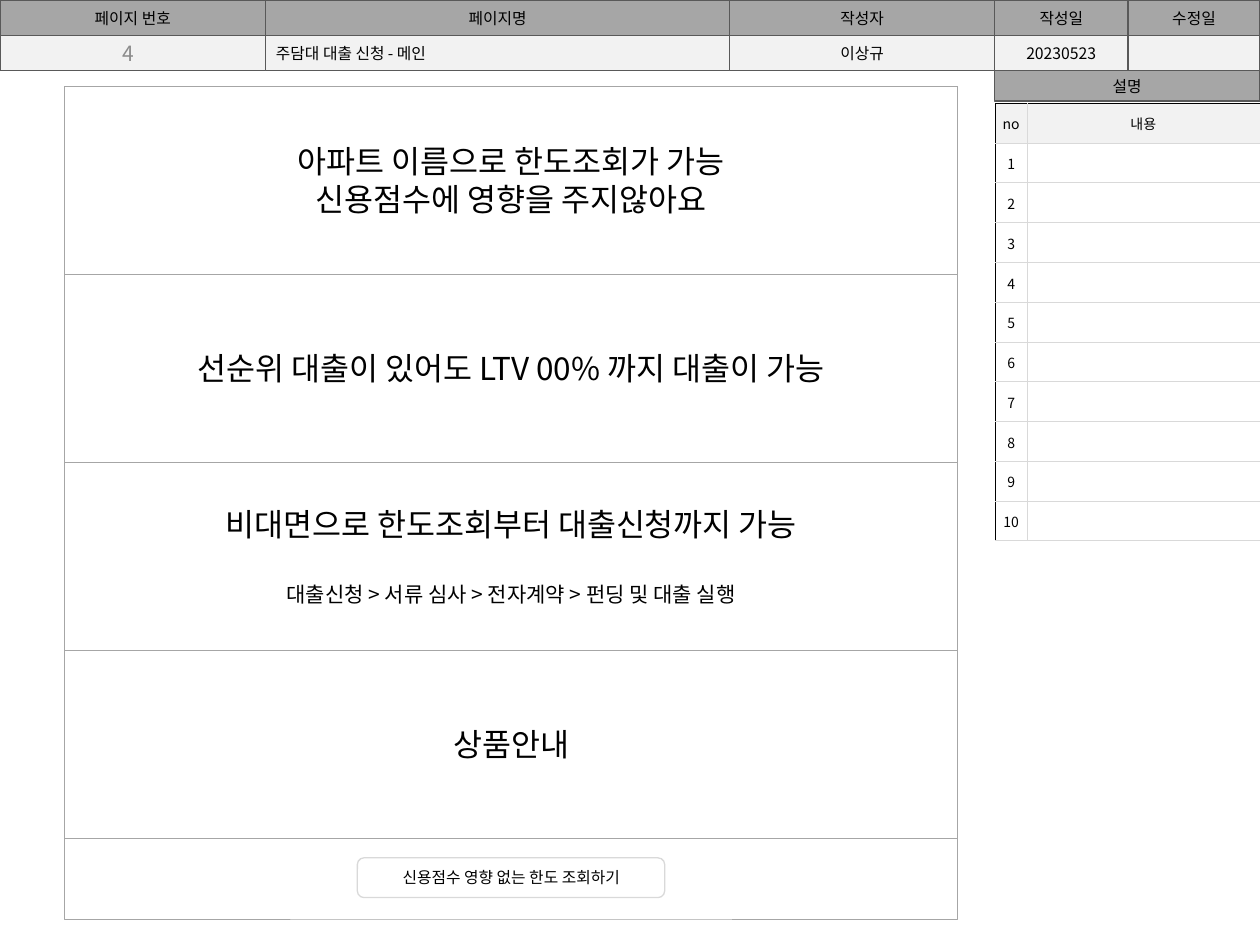
from pptx import Presentation
from pptx.dml.color import RGBColor
from pptx.enum.shapes import MSO_SHAPE as Preset
from pptx.enum.text import MSO_ANCHOR as Anchor, MSO_AUTO_SIZE as AutoSize, PP_ALIGN as Align
from pptx.oxml.ns import qn
from pptx.util import Pt
from lxml.etree import SubElement

FONT = "Noto Sans CJK KR"
BLACK = RGBColor(0x00, 0x00, 0x00)
DARK = RGBColor(0x59, 0x59, 0x59)
NUMBER_GREY = RGBColor(0x8C, 0x8C, 0x8C)
HEADING_GREY = RGBColor(0xA6, 0xA6, 0xA6)
RULE_GREY = RGBColor(0xD9, 0xD9, 0xD9)
PALE = RGBColor(0xF2, 0xF2, 0xF2)

BAND = 20.2
META_COLUMNS = [
    ("페이지 번호", None, 151.7),
    ("페이지명", None, 265.2),
    ("작성자", "이상규", 151.4),
    ("작성일", "20230523", 76.3),
    ("수정일", None, 75.4),
]
PANEL_LEFT, PANEL_TOP, PANEL_WIDTH, PANEL_HEIGHT = 36.9, 49.2, 510.3, 107.4
PANELS = [
    [("아파트 이름으로 한도조회가 가능", 18, 0), ("신용점수에 영향을 주지않아요", 18, 0)],
    [("선순위 대출이 있어도 LTV 00% 까지 대출이 가능", 18, 0)],
    [("비대면으로 한도조회부터 대출신청까지 가능", 18, 0),
     ("대출신청 > 서류 심사 > 전자계약 > 펀딩 및 대출 실행", 12, 22)],
    [("상품안내", 18, 0)],
]


def write(paragraph, text, size, color=BLACK, align=Align.CENTER):
    """Add one formatted run to a paragraph."""
    paragraph.alignment = align
    run = paragraph.add_run()
    run.text = text
    run.font.size = Pt(size)
    run.font.name = FONT
    run.font.color.rgb = color
    SubElement(run.font._element, qn("a:ea"), typeface=FONT)


def add_box(shapes, bounds, fill, line, weight, text=None, preset=Preset.RECTANGLE):
    """Draw an outlined box with an optional centred label."""
    box = shapes.add_shape(preset, *map(Pt, bounds))
    box.shadow.inherit = False
    if fill is None:
        box.fill.background()
    else:
        box.fill.solid()
        box.fill.fore_color.rgb = fill
    box.line.color.rgb = line
    box.line.width = Pt(weight)
    box.text_frame.vertical_anchor = Anchor.MIDDLE
    if text:
        write(box.text_frame.paragraphs[0], text, 9)
    return box


def add_meta_band(slide):
    """Draw the heading and value cells along the top edge."""
    cells = slide.shapes.add_group_shape().shapes
    left = 0
    for heading, value, width in META_COLUMNS:
        add_box(cells, (left, 0, width, BAND), HEADING_GREY, DARK, 0.75, heading)
        add_box(cells, (left, BAND, width, BAND), PALE, DARK, 0.75, value)
        left += width


def add_page_name(slide, text):
    """Place the title over the page name cell."""
    title = slide.shapes.title
    slide.shapes._spTree.append(title._element)
    title.left, title.top, title.width, title.height = map(Pt, (150.5, 21.6, 267, 18))
    frame = title.text_frame
    frame.auto_size = AutoSize.NONE
    frame.vertical_anchor = Anchor.MIDDLE
    write(frame.paragraphs[0], text, 9, align=Align.LEFT)


def add_page_number(slide, text):
    """Place the page number in its cell."""
    frame = slide.shapes.add_textbox(Pt(54), Pt(BAND), Pt(30), Pt(BAND)).text_frame
    frame.word_wrap = True
    frame.vertical_anchor = Anchor.MIDDLE
    write(frame.paragraphs[0], text, 12, NUMBER_GREY, Align.RIGHT)


def set_borders(cell, colors):
    """Rule the left, right, top and bottom edges of a cell."""
    properties = cell._tc.get_or_add_tcPr()
    for edge, color in zip("LRTB", colors):
        line = SubElement(properties, qn(f"a:ln{edge}"), w=str(Pt(0.5)))
        fill = SubElement(line, qn("a:solidFill"))
        SubElement(fill, qn("a:srgbClr"), val=str(color))


def format_cell(cell, text, is_header, is_number):
    """Fill, rule and label one cell of the description table."""
    cell.margin_left = cell.margin_right = cell.margin_top = Pt(0.7)
    cell.margin_bottom = 0
    cell.vertical_anchor = Anchor.MIDDLE
    set_borders(cell, (BLACK if is_number else RULE_GREY,
                       RULE_GREY if is_number else BLACK,
                       BLACK if is_header else RULE_GREY,
                       RULE_GREY))
    if is_header:
        cell.fill.solid()
        cell.fill.fore_color.rgb = PALE
    else:
        cell.fill.background()
    paragraph = cell.text_frame.paragraphs[0]
    if text:
        write(paragraph, text, 8)
    else:
        SubElement(paragraph._p, qn("a:endParaRPr"), sz="800")


def add_descriptions(slide):
    """Build the numbered description table."""
    rows = [("no", "내용")] + [(str(number), "") for number in range(1, 11)]
    row_height = 22.75
    table = slide.shapes.add_table(len(rows), 2, Pt(568.8), Pt(59), Pt(151.2),
                                   Pt(row_height * len(rows))).table
    table.first_row = table.horz_banding = False
    for column, width in zip(table.columns, (18, 133.2)):
        column.width = Pt(width)
    for row_index, texts in enumerate(rows):
        table.rows[row_index].height = Pt(row_height)
        for column_index, text in enumerate(texts):
            format_cell(table.cell(row_index, column_index), text,
                        row_index == 0, column_index == 0)


def add_panels(slide):
    """Stack the content panels inside the page frame."""
    add_box(slide.shapes, (PANEL_LEFT, PANEL_TOP, PANEL_WIDTH, 476), None, HEADING_GREY, 0.25)
    for index, lines in enumerate(PANELS):
        top = PANEL_TOP + index * PANEL_HEIGHT
        panel = add_box(slide.shapes, (PANEL_LEFT, top, PANEL_WIDTH, PANEL_HEIGHT),
                        None, HEADING_GREY, 0.25)
        frame = panel.text_frame
        for line_index, (text, size, gap) in enumerate(lines):
            paragraph = frame.add_paragraph() if line_index else frame.paragraphs[0]
            paragraph.line_spacing = Pt(size * 1.2)
            paragraph.space_before = Pt(gap)
            write(paragraph, text, size)


def main():
    """Build and save the slide."""
    deck = Presentation()
    deck.slide_width, deck.slide_height = Pt(720), Pt(540)
    slide = deck.slides.add_slide(deck.slide_layouts[5])
    add_meta_band(slide)
    add_page_name(slide, "주담대 대출 신청 - 메인")
    add_box(slide.shapes, (568.3, 2 * BAND, 151.7, 17.4), HEADING_GREY, DARK, 0.75, "설명")
    add_page_number(slide, "4")
    add_descriptions(slide)
    add_panels(slide)
    add_box(slide.shapes, (204.2, 490.2, 175.6, 22.7), None, RULE_GREY, 0.75,
            "신용점수 영향 없는 한도 조회하기", Preset.ROUNDED_RECTANGLE)
    deck.save("out.pptx")


if __name__ == "__main__":
    main()
